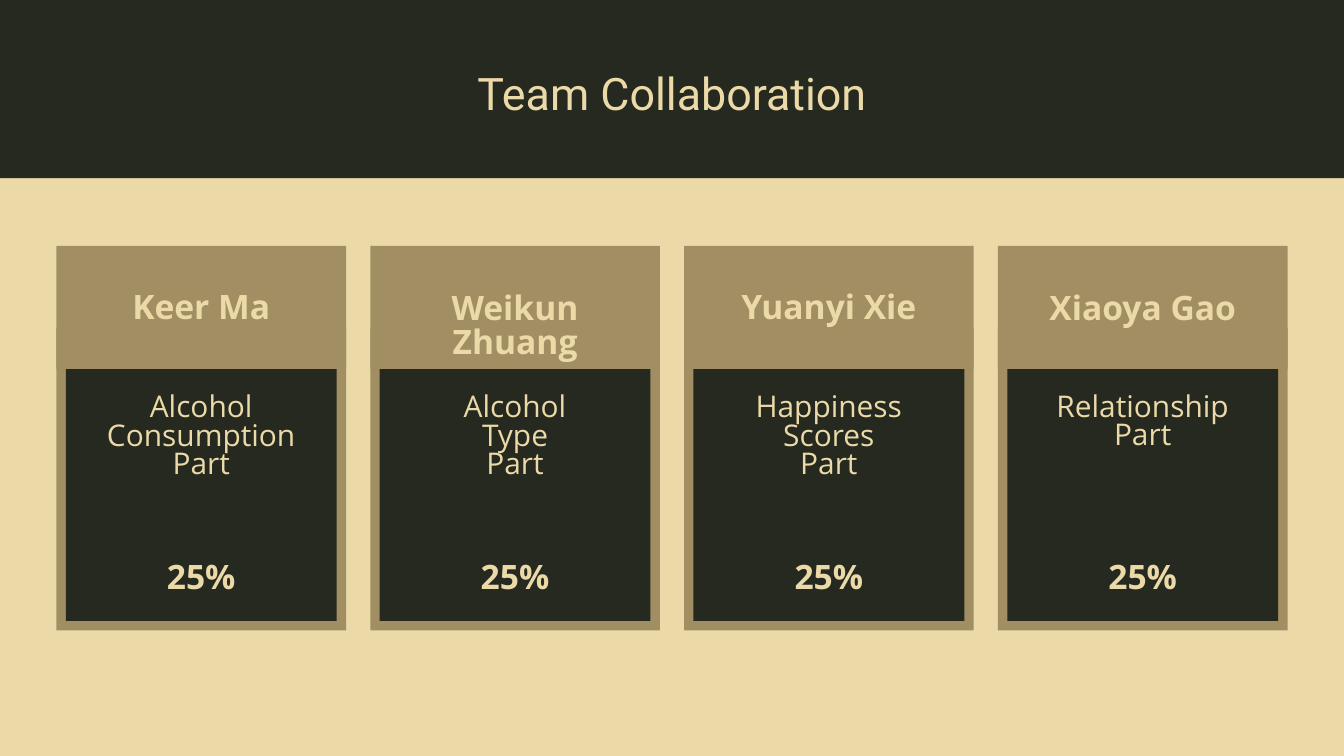
from typing import NamedTuple

from pptx import Presentation
from pptx import util as u
from pptx.dml.color import RGBColor
from pptx.enum import shapes, text

SAND, BRONZE, DARK = "EBDAA8", "A18F63", "262920"
CARD_LEFT, CARD_PITCH, CARD_WIDTH = 0.84, 4.67, 4.31
BORDER = 0.14


class Member(NamedTuple):
    name: str
    name_top: float
    name_width: float
    task: list[str]
    share: str


class Style(NamedTuple):
    font: str
    size: float
    spacing: float
    bold: bool = False


TITLE = Style("Roboto", 48, 48)
STRONG = Style("Open Sans", 36, 36.4, True)
BODY = Style("Open Sans", 32, 30.8)

MEMBERS = [
    Member("Keer Ma", 4.35, 3.46, ["Alcohol", "Consumption", "Part"], "25%"),
    Member("Weikun Zhuang", 4.37, 3.56, ["Alcohol", "Type", "Part"], "25%"),
    Member("Yuanyi Xie", 4.35, 3.46, ["Happiness", "Scores", "Part"], "25%"),
    Member("Xiaoya Gao", 4.37, 3.46, ["Relationship", "Part"], "25%"),
]


def paint(fill, color: str) -> None:
    fill.solid()
    fill.fore_color.rgb = RGBColor.from_string(color)


def add_panel(page, left: float, top: float, width: float, height: float, color: str) -> None:
    panel = page.shapes.add_shape(
        shapes.MSO_SHAPE.RECTANGLE,
        u.Inches(left), u.Inches(top), u.Inches(width), u.Inches(height),
    )
    panel.shadow.inherit = False
    paint(panel.fill, color)
    panel.line.fill.background()


def add_label(page, center: float, top: float, width: float, height: float,
              lines: list[str], style: Style) -> None:
    """Add centred text, one paragraph per line, around a horizontal centre."""
    box = page.shapes.add_textbox(
        u.Inches(center - width / 2), u.Inches(top), u.Inches(width), u.Inches(height)
    )
    frame = box.text_frame
    frame.margin_left = frame.margin_right = frame.margin_top = frame.margin_bottom = 0
    frame.word_wrap = True
    frame.auto_size = text.MSO_AUTO_SIZE.SHAPE_TO_FIT_TEXT
    frame.text = "\n".join(lines)
    for para in frame.paragraphs:
        para.alignment = text.PP_ALIGN.CENTER
        para.line_spacing = u.Pt(style.spacing)
        for span in para.runs:
            span.font.name = style.font
            span.font.size = u.Pt(style.size)
            span.font.bold = style.bold
            paint(span.font.fill, SAND)


def add_card(page, left: float, member: Member) -> None:
    center = left + CARD_WIDTH / 2
    add_panel(page, left, 4.87, CARD_WIDTH, 4.51, BRONZE)
    add_panel(page, left + BORDER, 4.87 + BORDER,
              CARD_WIDTH - 2 * BORDER, 4.51 - 2 * BORDER, DARK)
    add_panel(page, left, 3.66, CARD_WIDTH, 1.83, BRONZE)
    add_label(page, center, 5.87, 3.37, 0.43 * len(member.task), member.task, BODY)
    add_label(page, center, member.name_top, member.name_width, 0.5, [member.name], STRONG)
    add_label(page, center, 8.36, 3.46, 0.5, [member.share], STRONG)


def main() -> None:
    deck = Presentation()
    deck.slide_width, deck.slide_height = u.Inches(20), u.Inches(11.25)
    page = deck.slides.add_slide(deck.slide_layouts[6])
    paint(page.background.fill, SAND)

    for index, member in enumerate(MEMBERS):
        add_card(page, CARD_LEFT + index * CARD_PITCH, member)

    add_panel(page, -0.19, -0.33, 20.58, 2.98, DARK)
    add_label(page, 10, 1.11, 8.89, 0.71, ["Team Collaboration"], TITLE)
    deck.save("out.pptx")


if __name__ == "__main__":
    main()
